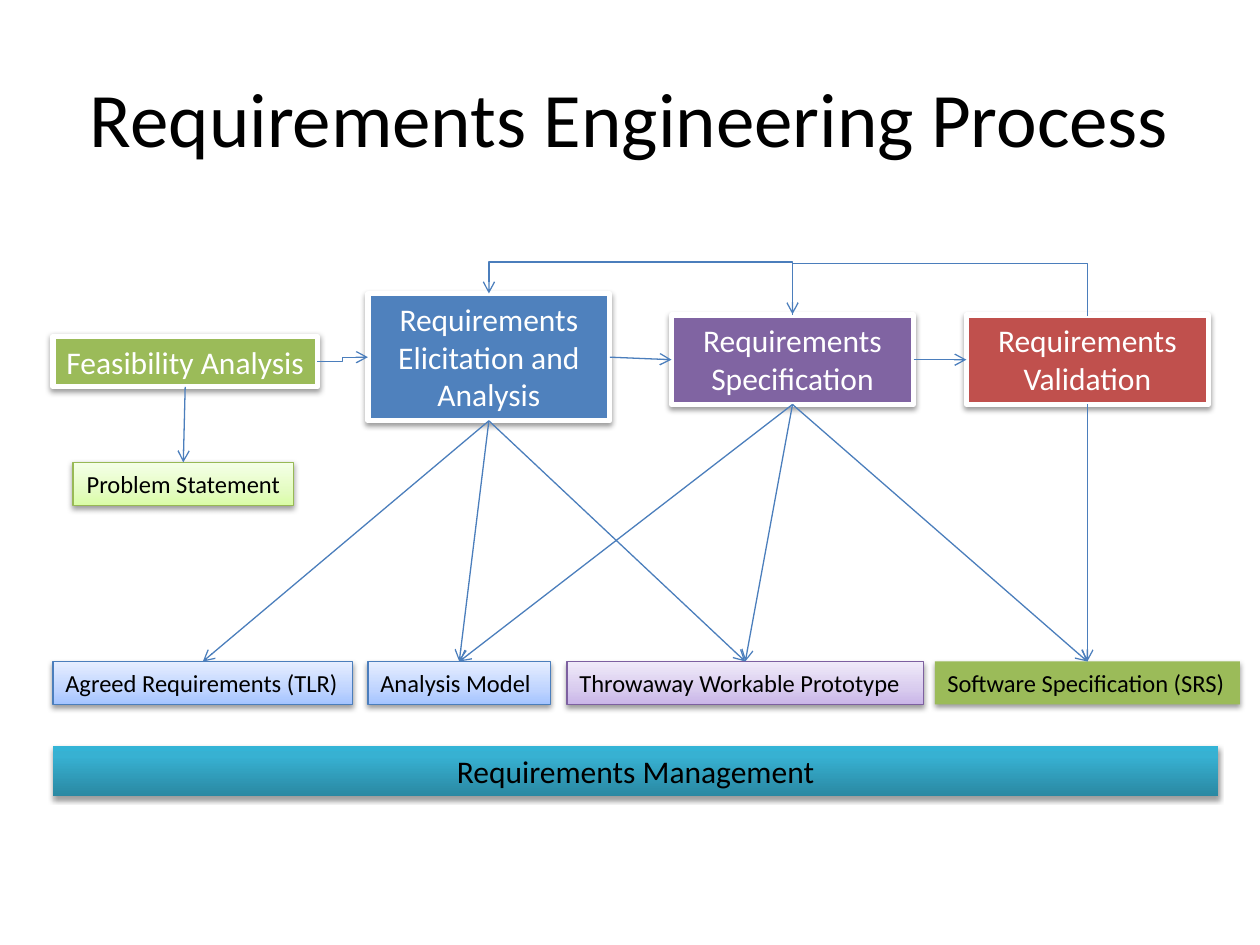
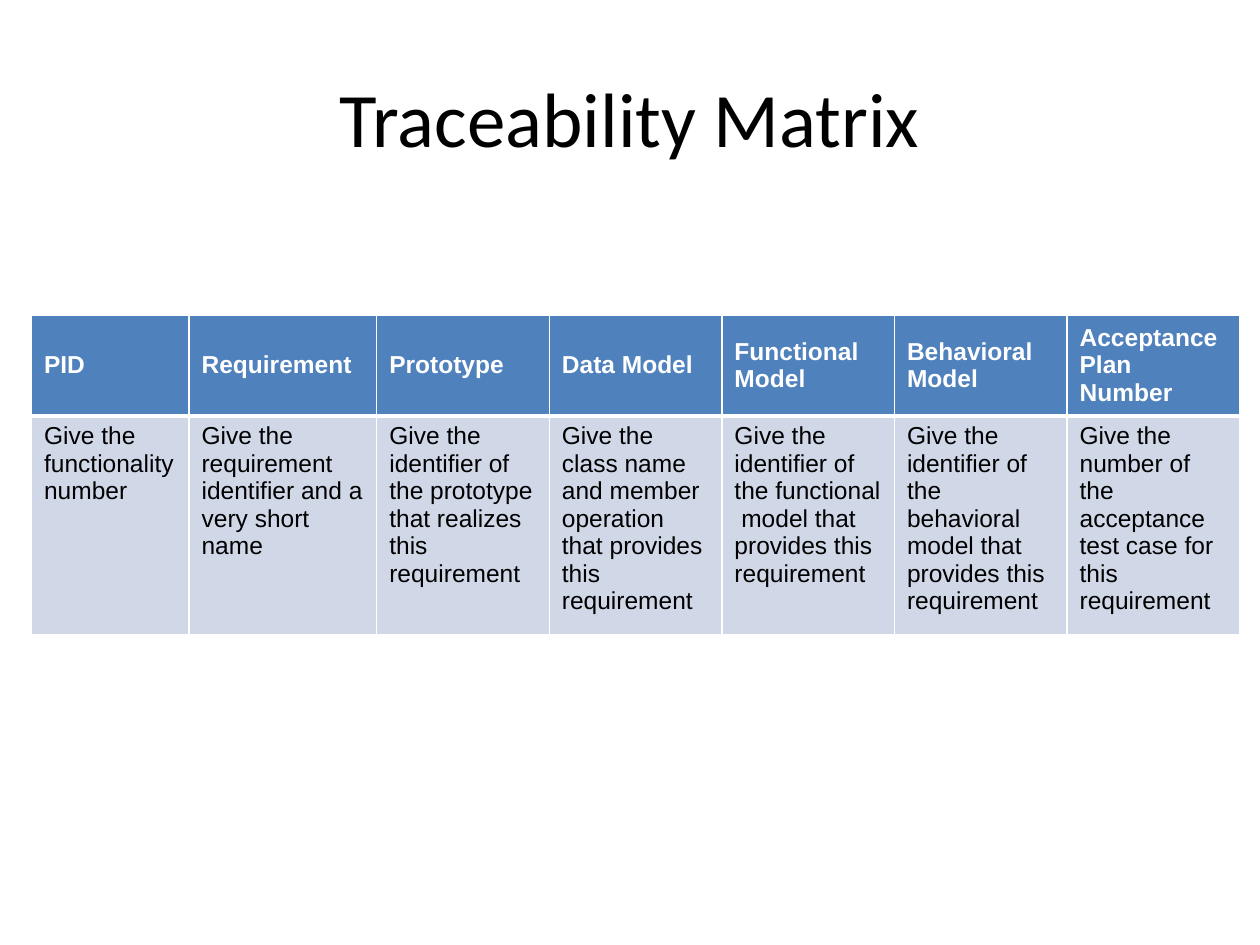
from pptx import Presentation
from pptx import util as u
from pptx.dml.color import RGBColor
from pptx.enum import shapes, text
from pptx.oxml import parse_xml
from pptx.oxml.ns import nsdecls, qn

BLACK = RGBColor(0x00, 0x00, 0x00)
WHITE = RGBColor(0xFF, 0xFF, 0xFF)
BLUE = RGBColor(0x4F, 0x81, 0xBD)
GREEN = RGBColor(0x9B, 0xBB, 0x59)
PURPLE = RGBColor(0x80, 0x64, 0xA2)
RED = RGBColor(0xC0, 0x50, 0x4D)
BLUE_LINE = RGBColor(0x4B, 0x7E, 0xBC)
GREEN_LINE = RGBColor(0x98, 0xB9, 0x55)
PURPLE_LINE = RGBColor(0x7D, 0x60, 0xA0)
PALE_BLUE = RGBColor(0xD0, 0xD8, 0xE8)

# Gradient stops, from bottom to top: (percent, colour)
SOFT_GREEN = [(0, "DAFDA7"), (35, "E4FCC2"), (100, "F5FFE7")]
SOFT_BLUE = [(0, "A4C4FF"), (35, "BFD4FF"), (100, "E6EEFF")]
SOFT_PURPLE = [(0, "C9B5E8"), (35, "D8CBEE"), (100, "F0EAF9")]
TEAL = [(0, "2A88A2"), (80, "37B1D2"), (100, "34B4D6")]

TOP, LEFT, BOTTOM, RIGHT = range(4)  # connection sites of a rectangle
LEFT_EDGE = 0.42
OUTPUT_TOP = 5.25
FEEDBACK_TOP = 2.08

MATRIX = [
    ("PID", "Give the functionality number", 1.25),
    ("Requirement", "Give the requirement identifier and a very short name", 1.49),
    ("Prototype", "Give the identifier of the prototype that realizes this "
     "requirement", 1.37),
    ("Data Model", "Give the class name and member operation that provides this "
     "requirement", 1.37),
    ("Functional Model", "Give the identifier of the functional  model that "
     "provides this requirement", 1.37),
    ("Behavioral Model", "Give the identifier of the behavioral model that "
     "provides this requirement", 1.37),
    ("Acceptance Plan Number", "Give the number of the acceptance test case for "
     "this requirement", 1.37),
]


def write(tf, words, size=18, color=BLACK, font="Calibri", bold=False,
          align=text.PP_ALIGN.LEFT):
    """Put one formatted paragraph into a text frame."""
    p = tf.paragraphs[0]
    p.alignment = align
    r = p.add_run()
    r.text = words
    r.font.size = u.Pt(size)
    r.font.name = font
    r.font.bold = bold
    r.font.color.rgb = color


def add_titled_slide(prs, title):
    """Add a blank slide with the shared title style."""
    s = prs.slides.add_slide(prs.slide_layouts[6])
    sp = s.shapes.add_textbox(u.Inches(0.5), u.Inches(0.3), u.Inches(9), u.Inches(1.25))
    tf = sp.text_frame
    tf.word_wrap = True
    tf.vertical_anchor = text.MSO_ANCHOR.MIDDLE
    write(tf, title, size=44, align=text.PP_ALIGN.CENTER)
    return s


def paint(sp, fill):
    """Fill a shape with a colour or with a list of gradient stops."""
    if isinstance(fill, RGBColor):
        sp.fill.solid()
        sp.fill.fore_color.rgb = fill
        return
    sp.fill.gradient()
    sp.fill.gradient_angle = 90
    stops = sp._element.spPr.find(qn("a:gradFill")).find(qn("a:gsLst"))
    for stop in list(stops):
        stops.remove(stop)
    for percent, color in fill:
        stops.append(parse_xml(
            f'<a:gs {nsdecls("a")} pos="{percent * 1000}">'
            f'<a:srgbClr val="{color}"/></a:gs>'))


def add_shadow(sp):
    """Give a shape a soft shadow straight below it."""
    sp.shadow.inherit = False
    sp._element.spPr.find(qn("a:effectLst")).append(parse_xml(
        f'<a:outerShdw {nsdecls("a")} blurRad="40000" dist="20000" dir="5400000" '
        'rotWithShape="0"><a:srgbClr val="000000"><a:alpha val="38000"/>'
        '</a:srgbClr></a:outerShdw>'))


def add_box(s, words, x, y, w, h, fill, line=None, weight=0.75, wrap=True, **fmt):
    """Add a shadowed rectangle that holds text."""
    sp = s.shapes.add_shape(shapes.MSO_SHAPE.RECTANGLE, u.Inches(x), u.Inches(y),
                            u.Inches(w), u.Inches(h))
    paint(sp, fill)
    if line is None:
        sp.line.fill.background()
    else:
        sp.line.color.rgb = line
        sp.line.width = u.Pt(weight)
    add_shadow(sp)
    tf = sp.text_frame
    tf.word_wrap = wrap
    tf.auto_size = text.MSO_AUTO_SIZE.SHAPE_TO_FIT_TEXT
    tf.vertical_anchor = text.MSO_ANCHOR.TOP
    write(tf, words, **fmt)
    return sp


def add_activity(s, words, x, y, w, h, fill, wrap=True):
    """Add a process step with a thick white frame."""
    return add_box(s, words, x, y, w, h, fill, WHITE, 3, wrap,
                   color=WHITE, align=text.PP_ALIGN.CENTER)


def add_output(s, words, x, w, fill, line=None, y=OUTPUT_TOP,
               align=text.PP_ALIGN.LEFT):
    """Add a small box for a document that a step delivers."""
    return add_box(s, words, x, y, w, 0.34, fill, line, wrap=False,
                   size=14, align=align)


def style_arrow(c):
    """Give a connector its line, an open arrowhead and no shadow."""
    c.line.color.rgb = BLUE_LINE
    c.line.width = u.Pt(0.75)
    spPr = c._element.spPr
    spPr.find(qn("a:ln")).append(parse_xml(f'<a:tailEnd {nsdecls("a")} type="arrow"/>'))
    spPr.append(parse_xml(f'<a:effectLst {nsdecls("a")}/>'))


def add_arrow(s, source, source_site, target, target_site,
              kind=shapes.MSO_CONNECTOR.STRAIGHT):
    """Join two boxes with an arrow."""
    c = s.shapes.add_connector(kind, 0, 0, 0, 0)
    c.begin_connect(source, source_site)
    c.end_connect(target, target_site)
    style_arrow(c)


def add_feedback(s, source, target):
    """Lead an arrow from the top of a box back, over a shared level, to another."""
    x0, x1 = (sp.left + sp.width // 2 for sp in (source, target))
    y0, y1 = source.top, target.top
    rise, span = max(y0 - y1, u.Inches(0.01)), x0 - x1
    c = s.shapes.add_connector(shapes.MSO_CONNECTOR.ELBOW, 0, 0, 0, 0)
    c.left, c.top = (x0 + x1 - rise) // 2, (y0 + y1 - span) // 2
    c.width, c.height = rise, span
    spPr = c._element.spPr
    xfrm = spPr.find(qn("a:xfrm"))
    xfrm.set("rot", str(270 * 60000))
    xfrm.set("flipV", "1")
    bend = round((y0 - u.Inches(FEEDBACK_TOP)) / rise * 100000)
    geom = spPr.find(qn("a:prstGeom"))
    for old in list(geom):
        geom.remove(old)
    geom.append(parse_xml(
        f'<a:avLst {nsdecls("a")}><a:gd name="adj1" fmla="val {bend}"/></a:avLst>'))
    style_arrow(c)


def set_borders(cell, **weights):
    """Draw white cell borders, with widths in points by side (L, R, T, B)."""
    tcPr = cell._tc.get_or_add_tcPr()
    for i, side in enumerate("LRTB"):
        tcPr.insert(i, parse_xml(
            f'<a:ln{side} {nsdecls("a")} w="{u.Pt(weights.get(side, 1))}"><a:solidFill>'
            f'<a:srgbClr val="{WHITE}"/></a:solidFill></a:ln{side}>'))


def fill_cell(cell, words, fill, color, anchor, bold=False, **borders):
    """Write and format one table cell."""
    cell.fill.solid()
    cell.fill.fore_color.rgb = fill
    cell.vertical_anchor = anchor
    write(cell.text_frame, words, size=14, color=color, font="Arial", bold=bold)
    set_borders(cell, **borders)


def build_process(prs):
    """Build the slide with the process steps and their outputs."""
    s = add_titled_slide(prs, "Requirements Engineering Process")
    feasibility = add_activity(s, "Feasibility Analysis", LEFT_EDGE, 2.67, 2.1, 0.4,
                               GREEN, wrap=False)
    elicitation = add_activity(s, "Requirements Elicitation and Analysis",
                               2.92, 2.33, 1.92, 1.01, BLUE)
    specification = add_activity(s, "Requirements Specification",
                                 5.33, 2.5, 1.92, 0.71, PURPLE)
    validation = add_activity(s, "Requirements Validation", 7.67, 2.5, 1.92, 0.71, RED)

    problem = add_output(s, "Problem Statement", 0.58, 1.75, SOFT_GREEN, GREEN_LINE,
                         y=3.67, align=text.PP_ALIGN.CENTER)
    agreed = add_output(s, "Agreed Requirements (TLR)", LEFT_EDGE, 2.38,
                        SOFT_BLUE, BLUE_LINE)
    model = add_output(s, "Analysis Model", 2.92, 1.45, SOFT_BLUE, BLUE_LINE)
    prototype = add_output(s, "Throwaway Workable Prototype", 4.5, 2.83,
                           SOFT_PURPLE, PURPLE_LINE)
    srs = add_output(s, "Software Specification (SRS)", 7.42, 2.42, GREEN)

    add_arrow(s, feasibility, RIGHT, elicitation, LEFT, shapes.MSO_CONNECTOR.ELBOW)
    add_arrow(s, elicitation, RIGHT, specification, LEFT)
    add_arrow(s, specification, RIGHT, validation, LEFT)
    add_feedback(s, specification, elicitation)
    add_feedback(s, validation, specification)
    deliveries = [(feasibility, [problem]),
                  (elicitation, [agreed, model, prototype]),
                  (specification, [model, prototype, srs]),
                  (validation, [srs])]
    for step, outputs in deliveries:
        for output in outputs:
            add_arrow(s, step, BOTTOM, output, TOP)

    add_box(s, "Requirements Management", LEFT_EDGE, 5.92, 9.25, 0.4, TEAL,
            align=text.PP_ALIGN.CENTER)


def build_matrix(prs):
    """Build the slide with the traceability table."""
    s = add_titled_slide(prs, "Traceability Matrix")
    table = s.shapes.add_table(2, len(MATRIX), u.Inches(0.25), u.Inches(2.5),
                               u.Inches(9.58), u.Inches(0.82)).table
    for i, (heading, hint, width) in enumerate(MATRIX):
        table.columns[i].width = u.Inches(width)
        fill_cell(table.cell(0, i), heading, BLUE, WHITE, text.MSO_ANCHOR.MIDDLE,
                  bold=True, B=3)
        fill_cell(table.cell(1, i), hint, PALE_BLUE, BLACK, text.MSO_ANCHOR.TOP, T=3)


def main():
    """Build and save the presentation."""
    prs = Presentation()
    prs.slide_width, prs.slide_height = u.Inches(10), u.Inches(7.5)
    build_process(prs)
    build_matrix(prs)
    prs.save("out.pptx")


main()
